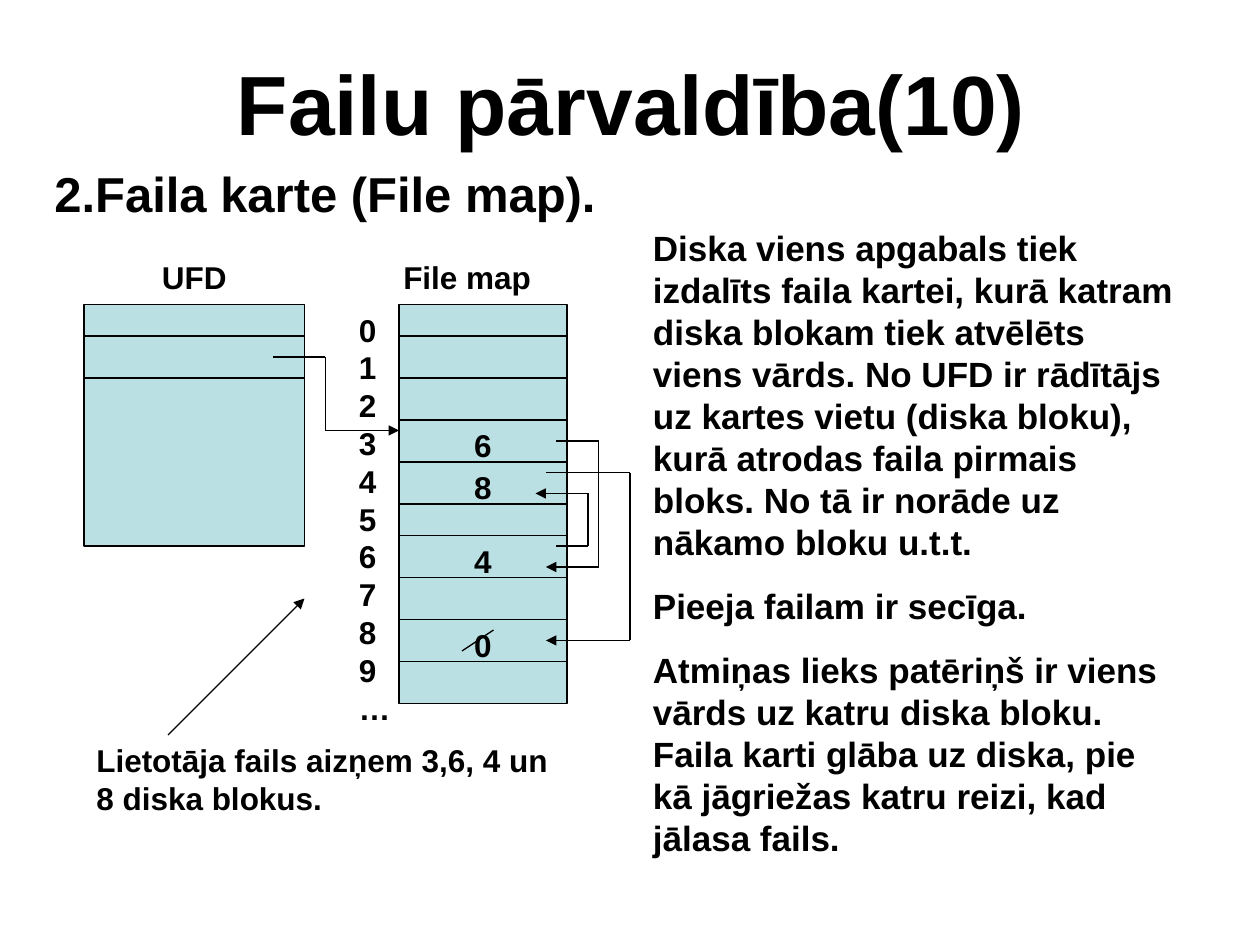
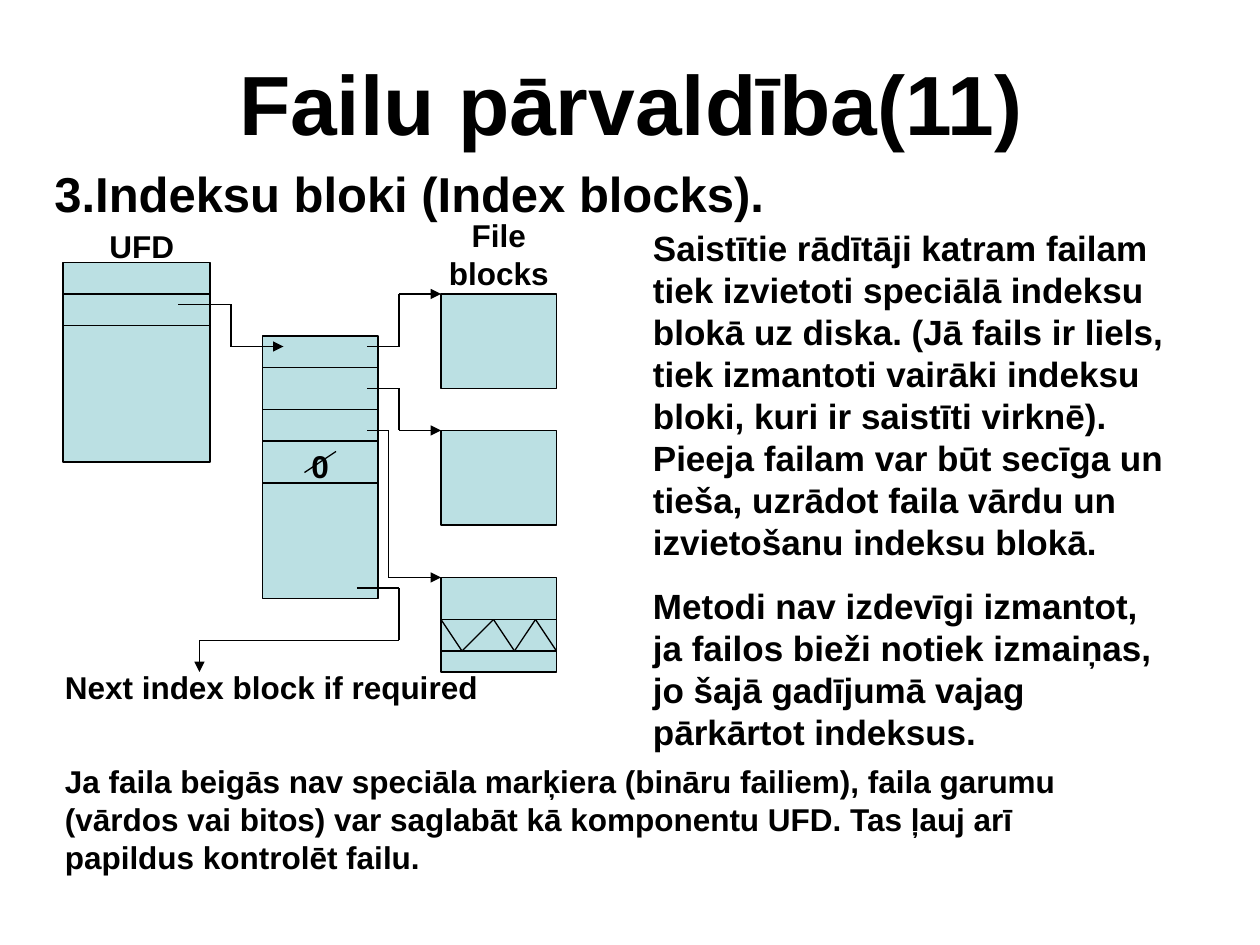
from dataclasses import dataclass
from itertools import pairwise
from typing import Any

from lxml import etree
from pptx import Presentation
from pptx.dml.color import RGBColor
from pptx.enum import shapes, text
from pptx.oxml import ns
from pptx.util import Inches, Pt

BLACK = "000000"
BLOCK_FILL = "BBE0E3"
FONT = "Arial"
LINE_WIDTH = Pt(0.75)
STEPS_PER_INCH = 12
LABEL_HEIGHT = 4.8
LEFT, CENTER = text.PP_ALIGN.LEFT, text.PP_ALIGN.CENTER


def color(value):
    return RGBColor.from_string(value)


def steps(count):
    return Inches(count / STEPS_PER_INCH)


@dataclass
class Region:
    slide: Any
    left: float = 0
    top: float = 0

    def inside(self, x, y):
        return Region(self.slide, self.left + x, self.top + y)

    def place(self, x, y):
        return steps(self.left + x), steps(self.top + y)

    def add_words(self, x, y, width, height, *paragraphs, size=18, align=LEFT,
                  anchor=text.MSO_ANCHOR.TOP):
        box = self.slide.shapes.add_textbox(
            *self.place(x, y), steps(width), steps(height))
        frame = box.text_frame
        frame.word_wrap = True
        frame.vertical_anchor = anchor
        for index, words in enumerate(paragraphs):
            paragraph = frame.add_paragraph() if index else frame.paragraphs[0]
            paragraph.alignment = align
            paragraph.space_before = Pt(12.5 if index else 0)
            run = paragraph.add_run()
            run.text = words
            run.font.name = FONT
            run.font.size = Pt(size)
            run.font.bold = True
            run.font.color.rgb = color(BLACK)

    def label(self, x, y, width, words, height=LABEL_HEIGHT):
        self.add_words(x, y, width, height, words, align=CENTER)

    def route(self, *points, arrow=True):
        for start, end in pairwise(points):
            segment = self.slide.shapes.add_connector(
                shapes.MSO_CONNECTOR.STRAIGHT,
                *self.place(*start), *self.place(*end))
            segment.line.color.rgb = color(BLACK)
            segment.line.width = LINE_WIDTH
            properties = segment._element.spPr
            etree.SubElement(properties, ns.qn("a:effectLst"))
            if arrow and end == points[-1]:
                tail = etree.SubElement(properties.find(ns.qn("a:ln")),
                                        ns.qn("a:tailEnd"))
                tail.set("type", "triangle")

    def block(self, width, height, dividers=()):
        block = self.slide.shapes.add_shape(
            shapes.MSO_SHAPE.RECTANGLE, *self.place(0, 0),
            steps(width), steps(height))
        block.shadow.inherit = False
        block.fill.solid()
        block.fill.fore_color.rgb = color(BLOCK_FILL)
        block.line.color.rgb = color(BLACK)
        block.line.width = LINE_WIDTH
        for y in dividers:
            self.route((0, y), (width, y), arrow=False)


def headings(page, title, topic, topic_height):
    page.add_words(6.12, 3.36, 108, 12.6, title, size=48, align=CENTER,
                   anchor=text.MSO_ANCHOR.MIDDLE)
    page.add_words(4, 15, 106, topic_height, topic, size=28)


def explanation(page, height, *paragraphs):
    page.add_words(61, 21, 52, height, *paragraphs, size=20)


def directory(region, width, height, dividers, label_box):
    region.block(width, height, dividers)
    region.label(*label_box, "UFD")


def file_map(region):
    width = 16
    row_tops = [0, 3, 7, 11, 15, 19, 22, 26, 30, 34]
    next_blocks = {3: "6", 4: "8", 6: "4", 8: "0"}
    region.block(width, 38, row_tops[1:])
    region.label(-5, -5, 23, "File map")
    region.add_words(-5, 0, 5, 40.8, "0 1 2 3 4 5 6 7 8 9 …")
    for row, target in next_blocks.items():
        region.label(0, row_tops[row], width, target)
    region.route((9, 31), (6, 33), arrow=False)
    for start_x, start_y, turn_x, end_x, end_y in (
            (15, 13, 19, 14, 25), (15, 23, 18, 13, 18), (14, 16, 22, 14, 32)):
        region.route((start_x, start_y), (turn_x, start_y),
                     (turn_x, end_y), (end_x, end_y))


def index_block(region):
    region.block(11, 25, [3, 7, 10, 14])
    region.label(1, 10, 9, "0")
    region.route((7, 11), (4, 13), arrow=False)


def file_blocks(region):
    width, height = 11, 9
    band_top, band_bottom = 4, 7
    for y in (0, 13):
        region.inside(0, y).block(width, height)
    last = region.inside(0, 27)
    last.block(width, height, [band_top, band_bottom])
    zigzag = [(x, band_bottom if index % 2 else band_top)
              for index, x in enumerate((0, 2, 5, 7, 9, width))]
    last.route(*zigzag, arrow=False)
    region.label(-2, -8, 15, "File blocks", height=8.4)


def file_map_slide(page):
    headings(page, "Failu pārvaldība(10)", "2.Faila karte (File map).", 62.4)
    directory(page.inside(8, 29), 21, 23, [3, 7], (3, -5, 15))
    file_map(page.inside(38, 29))
    page.route((26, 34), (31, 34), (31, 41), (38, 41))
    explanation(
        page, 61.4,
        "Diska viens apgabals tiek izdalīts faila kartei, kurā katram diska "
        "blokam tiek atvēlēts viens vārds. No UFD ir rādītājs uz kartes vietu "
        "(diska bloku), kurā atrodas faila pirmais bloks. No tā ir norāde uz "
        "nākamo bloku u.t.t.",
        "Pieeja failam ir secīga.",
        "Atmiņas lieks patēriņš ir viens vārds uz katru diska bloku. Faila "
        "karti glāba uz diska, pie kā jāgriežas katru reizi, kad jālasa fails.")
    page.add_words(8, 70, 47, 8.4,
                   "Lietotāja fails aizņem 3,6, 4 un 8 diska blokus.")
    page.route((16, 70), (29, 57))


def index_blocks_slide(page):
    headings(page, "Failu pārvaldība(11)", "3.Indeksu bloki (Index blocks).", 68)
    explanation(
        page, 51.4,
        "Saistītie rādītāji katram failam tiek izvietoti speciālā indeksu "
        "blokā uz diska. (Jā fails ir liels, tiek izmantoti vairāki indeksu "
        "bloki, kuri ir saistīti virknē). Pieeja failam var būt secīga un "
        "tieša, uzrādot faila vārdu un izvietošanu indeksu blokā.",
        "Metodi nav izdevīgi izmantot, ja failos bieži notiek izmaiņas, jo "
        "šajā gadījumā vajag pārkārtot indeksus.")
    directory(page.inside(6, 25), 14, 19, [3, 6], (1, -4, 13))
    index_block(page.inside(25, 32))
    file_blocks(page.inside(42, 28))
    page.route((17, 29), (22, 29), (22, 33), (27, 33))
    for entry_y, turn_x, block_y in ((33, 38, 28), (37, 38, 41), (41, 37, 55)):
        page.route((35, entry_y), (turn_x, entry_y),
                   (turn_x, block_y), (42, block_y))
    page.route((34, 56), (38, 56), (38, 61), (19, 61), (19, 64))
    page.add_words(5, 63, 42, LABEL_HEIGHT, "Next index block if required")
    page.add_words(5, 72, 105, 12,
                   "Ja faila beigās nav speciāla marķiera (bināru failiem), "
                   "faila garumu (vārdos vai bitos) var saglabāt kā komponentu "
                   "UFD. Tas ļauj arī papildus kontrolēt failu.")


def main():
    deck = Presentation()
    deck.slide_width, deck.slide_height = Inches(10), Inches(7.5)
    blank = deck.slide_layouts[6]
    for build in (file_map_slide, index_blocks_slide):
        build(Region(deck.slides.add_slide(blank)))
    deck.save("out.pptx")


if __name__ == "__main__":
    main()
